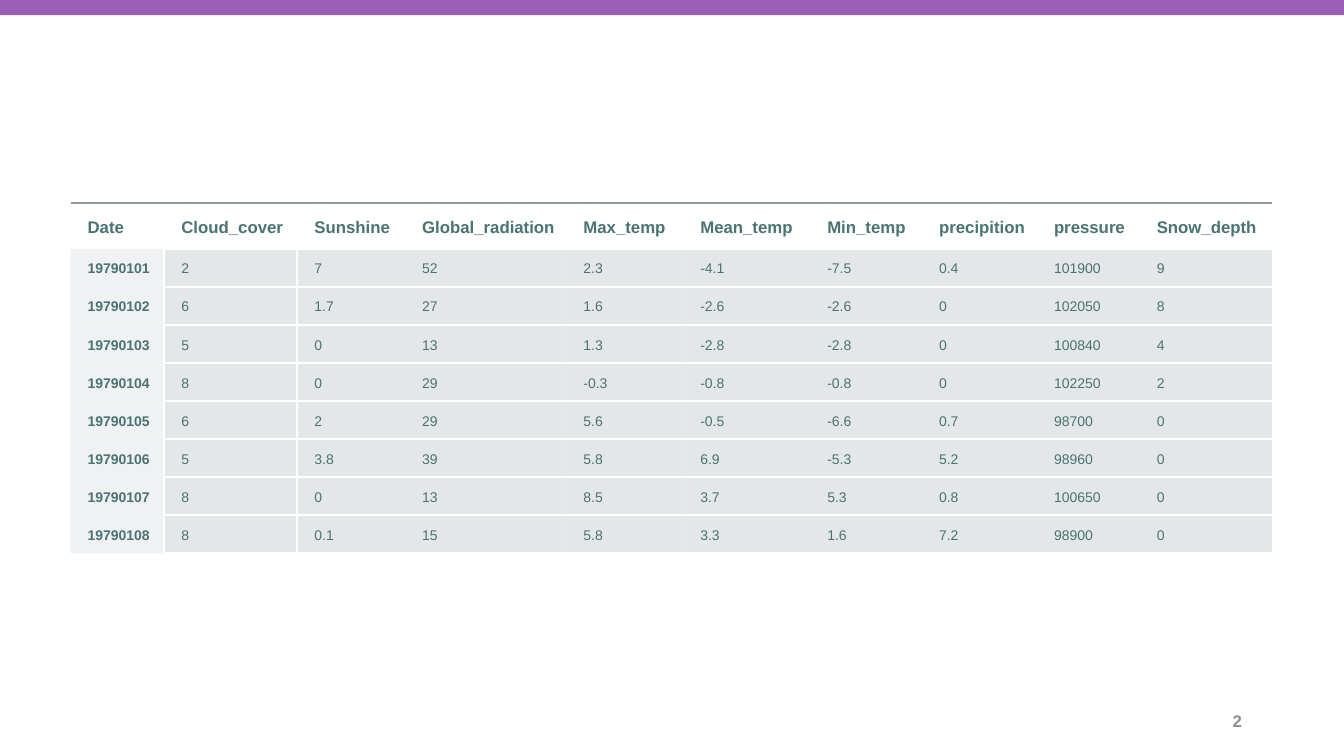
"""Build a slide with a table of daily weather readings."""
from dataclasses import dataclass

from lxml.etree import SubElement
from pptx import Presentation
from pptx.dml.color import RGBColor
from pptx.enum.shapes import MSO_SHAPE as Shape
from pptx.enum.text import MSO_ANCHOR as Anchor, PP_ALIGN as Align
from pptx.oxml.ns import qn
from pptx.slide import Slide
from pptx.table import _Cell as Cell
from pptx.text.text import _Paragraph as Paragraph
from pptx.util import Pt

COLORS = {
    "bar": "9C5FB5",
    "number": "8D9090",
    "text": "4A7373",
    "cell": "B4BCBE",
    "rule": "8F9A9D",
    "gap": "FFFFFF",
}
NO_GRID_STYLE = "{2D5ABB26-0587-4C30-8999-92F81FD0307C}"
COLUMN_WIDTHS = (67, 95, 77, 115.2, 83.5, 90.7, 79.9, 82.1, 73.4, 94.5)
HEADER_HEIGHT, ROW_HEIGHT = 33.1, 27.2
READINGS = (
    ("Date", "Cloud_cover", "Sunshine", "Global_radiation", "Max_temp",
     "Mean_temp", "Min_temp", "precipition", "pressure", "Snow_depth"),
    ("19790101", "2", "7", "52", "2.3", "-4.1", "-7.5", "0.4", "101900", "9"),
    ("19790102", "6", "1.7", "27", "1.6", "-2.6", "-2.6", "0", "102050", "8"),
    ("19790103", "5", "0", "13", "1.3", "-2.8", "-2.8", "0", "100840", "4"),
    ("19790104", "8", "0", "29", "-0.3", "-0.8", "-0.8", "0", "102250", "2"),
    ("19790105", "6", "2", "29", "5.6", "-0.5", "-6.6", "0.7", "98700", "0"),
    ("19790106", "5", "3.8", "39", "5.8", "6.9", "-5.3", "5.2", "98960", "0"),
    ("19790107", "8", "0", "13", "8.5", "3.7", "5.3", "0.8", "100650", "0"),
    ("19790108", "8", "0.1", "15", "5.8", "3.3", "1.6", "7.2", "98900", "0"),
)


@dataclass(frozen=True)
class Border:
    tag: str
    color: str
    opacity: int = 100


@dataclass(frozen=True)
class CellStyle:
    size: float
    bold: bool
    inset: float
    fill_opacity: int
    borders: tuple[Border, ...]


HEADER = CellStyle(12, True, 7.2, 0, (Border("a:lnT", "rule", 60),))
DATE = CellStyle(10, True, 6.5, 20, (Border("a:lnR", "gap"),))
VALUE = CellStyle(10, False, 6.5, 35, (Border("a:lnT", "gap"), Border("a:lnB", "gap")))
FIRST_VALUE = CellStyle(10, False, 6.5, 35, (Border("a:lnL", "gap"), *VALUE.borders))


def style_font(paragraph: Paragraph, size: float, bold: bool, color: str) -> None:
    font = paragraph.font
    font.name, font.size, font.bold = "Arial", Pt(size), bold
    font.color.rgb = RGBColor.from_string(COLORS[color])


def choose_style(row: int, column: int) -> CellStyle:
    if row == 0:
        return HEADER
    return {0: DATE, 1: FIRST_VALUE}.get(column, VALUE)


def add_border(cell: Cell, border: Border) -> None:
    properties = cell._tc.get_or_add_tcPr()
    line = SubElement(properties, qn(border.tag), w=str(Pt(1.5)))
    fill = SubElement(line, qn("a:solidFill"))
    color = SubElement(fill, qn("a:srgbClr"), val=COLORS[border.color])
    SubElement(color, qn("a:alpha"), val=str(border.opacity * 1000))


def fill_cell(cell: Cell, text: str, style: CellStyle) -> None:
    cell.text = text
    cell.vertical_anchor = Anchor.MIDDLE
    cell.margin_left = Pt(12.2)
    cell.margin_top = cell.margin_right = cell.margin_bottom = Pt(style.inset)
    paragraph = cell.text_frame.paragraphs[0]
    paragraph.line_spacing = 1.15
    paragraph.space_after = Pt(8)
    style_font(paragraph, style.size, style.bold, "text")
    for border in style.borders:
        add_border(cell, border)
    if not style.fill_opacity:
        cell.fill.background()
        return
    cell.fill.solid()
    cell.fill.fore_color.rgb = RGBColor.from_string(COLORS["cell"])
    color = cell._tc.tcPr.find(qn("a:solidFill")).find(qn("a:srgbClr"))
    SubElement(color, qn("a:alpha"), val=str(style.fill_opacity * 1000))


def add_readings(slide: Slide) -> None:
    height = HEADER_HEIGHT + ROW_HEIGHT * (len(READINGS) - 1)
    frame = slide.shapes.add_table(len(READINGS), len(COLUMN_WIDTHS), Pt(50.4), Pt(144.7),
                                   Pt(sum(COLUMN_WIDTHS)), Pt(height))
    table = frame.table
    table._tbl.tblPr.find(qn("a:tableStyleId")).text = NO_GRID_STYLE
    table.horz_banding = False
    for column, width in zip(table.columns, COLUMN_WIDTHS):
        column.width = Pt(width)
    for row, texts in enumerate(READINGS):
        table.rows[row].height = Pt(ROW_HEIGHT if row else HEADER_HEIGHT)
        for column, text in enumerate(texts):
            fill_cell(table.cell(row, column), text, choose_style(row, column))


def add_top_bar(slide: Slide) -> None:
    bar = slide.shapes.add_shape(Shape.RECTANGLE, Pt(0), Pt(0), Pt(960), Pt(10.8))
    bar.shadow.inherit = False
    bar.fill.solid()
    bar.fill.fore_color.rgb = RGBColor.from_string(COLORS["bar"])
    bar.line.fill.background()


def add_slide_number(slide: Slide) -> None:
    box = slide.shapes.add_textbox(Pt(678.2), Pt(500.4), Pt(216), Pt(28.8))
    frame = box.text_frame
    frame.word_wrap = True
    frame.vertical_anchor = Anchor.MIDDLE
    paragraph = frame.paragraphs[0]
    paragraph.text = "2"
    paragraph.alignment = Align.RIGHT
    paragraph.space_after = Pt(6)
    style_font(paragraph, 12, True, "number")


def main() -> None:
    presentation = Presentation()
    presentation.slide_width, presentation.slide_height = Pt(960), Pt(540)
    slide = presentation.slides.add_slide(presentation.slide_layouts[6])
    add_top_bar(slide)
    add_slide_number(slide)
    add_readings(slide)
    presentation.save("out.pptx")


if __name__ == "__main__":
    main()
